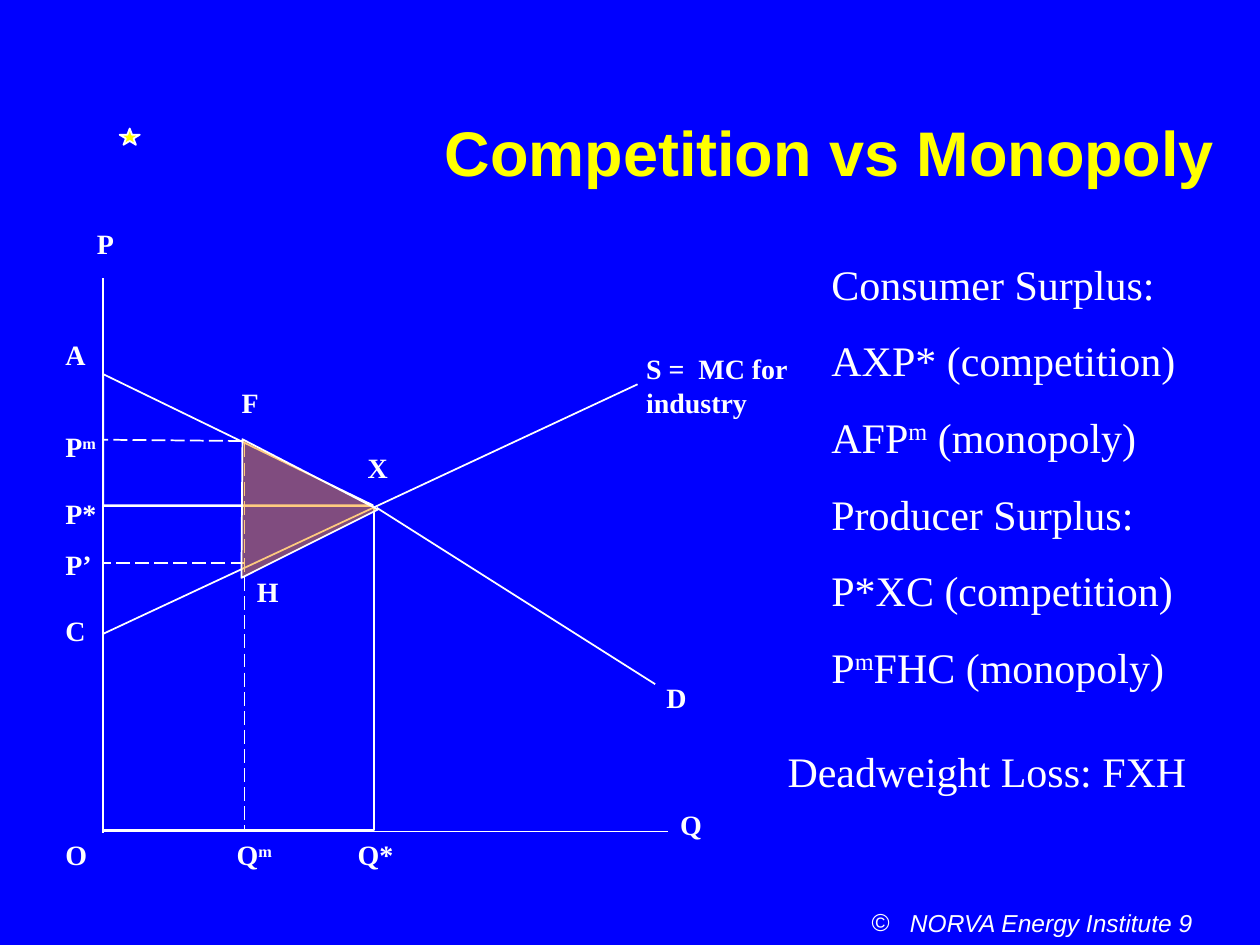
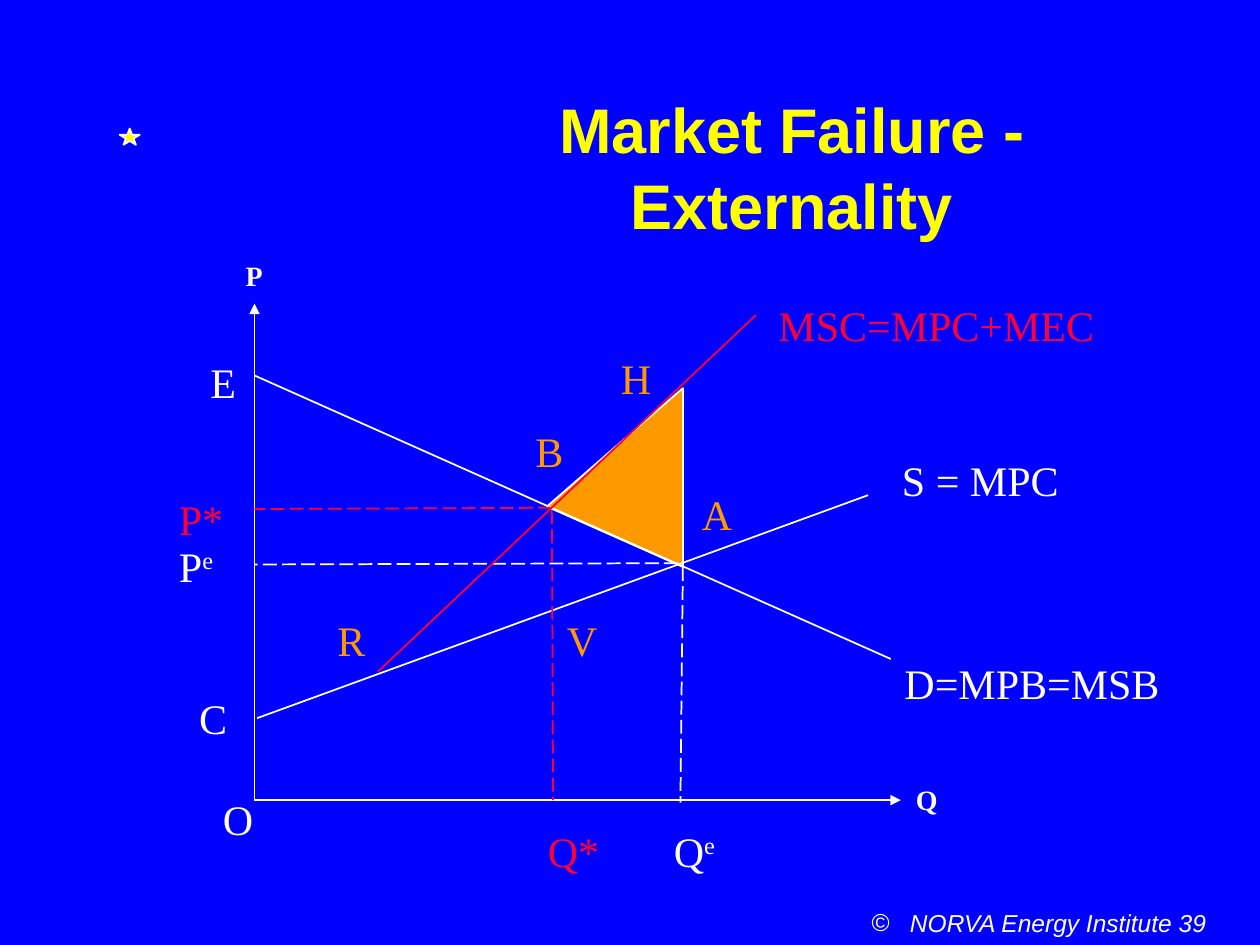
from lxml import etree
from pptx import Presentation
from pptx.dml.color import RGBColor
from pptx.enum.dml import MSO_LINE
from pptx.enum.shapes import MSO_CONNECTOR, MSO_SHAPE
from pptx.enum.text import MSO_ANCHOR, MSO_AUTO_SIZE, PP_ALIGN
from pptx.oxml.ns import qn
from pptx.util import Inches, Pt

BLUE = RGBColor(0x00, 0x00, 0xFF)
WHITE = RGBColor(0xFF, 0xFF, 0xFF)
YELLOW = RGBColor(0xFF, 0xFF, 0x00)
ORANGE = RGBColor(0xFF, 0x99, 0x00)
RED = RGBColor(0xFF, 0x00, 0x33)

SERIF, SANS = "Times New Roman", "Arial"
PADDED = (0.1, 0.05, 0.1, 0.05)   # left, top, right, bottom
FLUSH_LEFT = (0, 0.05, 0.1, 0.05)
NO_INSET = (0, 0, 0, 0)
SMALL = {"size": 16, "bold": True}
DASHED = {"dashed": True}
RED_DASHED = {"dashed": True, "colour": RED}
ARROW = {"arrow": True}
ORANGE_FLUSH = {"colour": ORANGE, "inset": FLUSH_LEFT}
BARE = {"inset": NO_INSET}

# Areas: shape, box (left, top, width, height), format
# Lines: start, end, format
# Labels: text (^superscript^), left, top, width, format
MONOPOLY = {
    "title": ["Competition vs Monopoly"],
    "title_box": (3.43, 0.85, 6.45, 0.7),
    "title_align": PP_ALIGN.LEFT,
    "number": 9,
    "areas": [
        (MSO_SHAPE.RIGHT_TRIANGLE, (0.82, 2.97, 2.14, 1.04), {"fill": BLUE}),
        (MSO_SHAPE.RECTANGLE, (0.82, 4.02, 2.15, 2.57), {"fill": BLUE}),
    ],
    "lines": [
        ((0.82, 2.21), (0.82, 6.61), {}),       # price axis
        ((0.81, 6.6), (5.3, 6.6), {}),          # quantity axis
        ((0.82, 5.03), (5.06, 3.05), {}),       # supply
        ((2.99, 4.03), (5.2, 5.43), {}),        # demand beyond X
        ((1.92, 3.5), (0.81, 3.49), DASHED),
        ((1.94, 4.47), (0.82, 4.47), DASHED),
        ((1.94, 3.52), (1.94, 6.6), DASHED),
    ],
    "labels": [
        ("P", 0.67, 1.75, 0.53, SMALL),
        ("A", 0.42, 2.63, 0.4, SMALL),
        ("P^m^", 0.42, 3.36, 0.64, SMALL),
        ("P*", 0.42, 3.89, 0.88, SMALL),
        ("P’", 0.42, 4.3, 0.56, SMALL),
        ("C", 0.42, 4.82, 0.4, SMALL),
        ("O", 0.42, 6.6, 0.56, SMALL),
        ("Q^m^", 1.78, 6.6, 1.04, SMALL),
        ("Q*", 2.74, 6.6, 0.64, SMALL),
        ("Q", 5.3, 6.36, 0.62, SMALL),
        ("F", 1.82, 3.01, 0.64, SMALL),
        ("X", 2.82, 3.53, 0.4, SMALL),
        ("H", 1.94, 4.51, 0.48, SMALL),
        ("D", 5.19, 5.35, 0.64, SMALL),
        ("S =  MC for industry", 5.03, 2.74, 1.44, {**SMALL, "rows": 2}),
        ("Deadweight Loss: FXH", 6.25, 5.92, 3.25, BARE),
    ],
    "overlay": [
        (MSO_SHAPE.ISOSCELES_TRIANGLE, (1.91, 3.5, 1.1, 1.08),
         {"fill": ORANGE, "rotation": 90.4, "alpha": 50}),
    ],
}
SURPLUS = ["Consumer Surplus:", "AXP* (competition)", "AFP^m^ (monopoly)",
           "Producer Surplus:", "P*XC (competition)", "P^m^FHC (monopoly)"]

EXTERNALITY = {
    "title": ["Market Failure -", "Externality"],
    "title_box": (3.42, 0.67, 5.73, 1.3),
    "title_align": PP_ALIGN.CENTER,
    "number": 39,
    "areas": [
        (MSO_SHAPE.ISOSCELES_TRIANGLE, (4.17, 3.25, 1.42, 1.08),
         {"fill": ORANGE, "rotation": 270, "apex": 0.338}),
    ],
    "lines": [
        ((2.02, 6.36), (2.02, 2.41), ARROW),    # price axis
        ((2.02, 6.35), (7.15, 6.35), ARROW),    # quantity axis
        ((2.04, 5.7), (6.89, 3.93), {}),        # supply
        ((2.02, 2.98), (7.07, 5.23), {}),       # demand
        ((5.38, 4.47), (2.02, 4.48), DASHED),
        ((5.42, 4.5), (5.4, 6.37), DASHED),
        ((4.38, 4.03), (2.02, 4.04), RED_DASHED),
        ((4.38, 4.05), (4.39, 6.35), RED_DASHED),
        ((3, 5.33), (6, 2.5), {"colour": RED}),  # social cost
    ],
    "labels": [
        ("P", 1.85, 2, 0.61, SMALL),
        ("Q", 7.17, 6.16, 0.71, SMALL),
        ("E", 1.67, 2.83, 0.25, BARE),
        ("P*", 1.42, 3.92, 0.43, {"colour": RED, "inset": NO_INSET}),
        ("P^e^", 1.42, 4.29, 0.42, BARE),
        ("C", 1.58, 5.5, 0.25, BARE),
        ("O", 1.67, 6.25, 0.5, {}),
        ("Q*", 4.25, 6.5, 0.73, {"colour": RED}),
        ("Q^e^", 5.25, 6.5, 0.73, {}),
        ("MSC=MPC+MEC", 6.08, 2.33, 2.75, {"colour": RED}),
        ("S = MPC", 7.06, 3.56, 1.65, {}),
        ("D=MPB=MSB", 7.08, 5.17, 2.33, {}),
        ("A", 5.57, 3.83, 0.35, ORANGE_FLUSH),
        ("B", 4.25, 3.33, 0.33, ORANGE_FLUSH),
        ("V", 4.5, 4.83, 0.33, ORANGE_FLUSH),
        ("H", 4.83, 2.75, 0.42, {"colour": ORANGE}),
        ("R", 2.58, 4.83, 0.42, {"colour": ORANGE}),
    ],
    "overlay": [],
}


def write_text(shape, paragraphs, size=24, font=SERIF, colour=WHITE, bold=False,
               italic=False, align=PP_ALIGN.LEFT, before=0, inset=PADDED):
    """Fill a shape with formatted paragraphs; ^marks^ enclose superscripts."""
    frame = shape.text_frame
    frame.word_wrap = True
    frame.auto_size = MSO_AUTO_SIZE.NONE
    frame.vertical_anchor = MSO_ANCHOR.TOP
    (frame.margin_left, frame.margin_top,
     frame.margin_right, frame.margin_bottom) = map(Inches, inset)
    for index, text in enumerate(paragraphs):
        paragraph = frame.add_paragraph() if index else frame.paragraphs[0]
        paragraph.alignment = align
        paragraph.space_before = Pt(before)
        for position, part in enumerate(text.split("^")):
            if not part:
                continue
            run = paragraph.add_run()
            run.text = part
            run.font.size, run.font.name = Pt(size), font
            run.font.bold, run.font.italic = bold, italic
            run.font.color.rgb = colour
            if position % 2:
                run.font._element.set("baseline", "30000")


def add_text(slide, paragraphs, box, **text_format):
    """Add a text box and return it."""
    shape = slide.shapes.add_textbox(*map(Inches, box))
    write_text(shape, paragraphs, **text_format)
    return shape


def add_label(slide, text, left, top, width, rows=1, size=24, inset=PADDED,
              **text_format):
    """Add a label whose height follows from its type size and insets."""
    height = rows * size / 60 + inset[1] + inset[3]
    add_text(slide, [text], (left, top, width, height), size=size, inset=inset,
             **text_format)


def add_area(slide, kind, box, fill, rotation=0, apex=None, alpha=None):
    """Add a white-outlined preset shape."""
    shape = slide.shapes.add_shape(kind, *map(Inches, box))
    shape.shadow.inherit = False
    shape.fill.solid()
    shape.fill.fore_color.rgb = fill
    shape.line.color.rgb = WHITE
    shape.line.width = Pt(1)
    shape.rotation = rotation
    if apex is not None:
        shape.adjustments[0] = apex
    if alpha is not None:
        colour = shape._element.spPr.find(qn("a:solidFill"))[0]
        etree.SubElement(colour, qn("a:alpha"), val=str(alpha * 1000))


def add_line(slide, start, end, colour=WHITE, dashed=False, arrow=False):
    """Add a straight line, optionally dashed or with an arrow at its end."""
    connector = slide.shapes.add_connector(
        MSO_CONNECTOR.STRAIGHT, *map(Inches, start + end))
    connector.line.color.rgb = colour
    connector.line.width = Pt(1)
    if dashed:
        connector.line.dash_style = MSO_LINE.LONG_DASH
    properties = connector._element.spPr
    if arrow:
        etree.SubElement(properties.find(qn("a:ln")), qn("a:tailEnd"), type="triangle")
    etree.SubElement(properties, qn("a:effectLst"))


def add_footer(slide, number):
    """Add the footer, with a copyright sign as its bullet."""
    footer = add_text(slide, [f" NORVA Energy Institute {number}"],
                      (6.57, 7.16, 3.43, 0.33), size=14, font=SANS, italic=True)
    properties = footer.text_frame.paragraphs[0]._p.get_or_add_pPr()
    properties.set("marL", str(Inches(0.5)))
    properties.set("indent", str(-Inches(0.25)))
    bullet_colour = etree.SubElement(properties, qn("a:buClr"))
    etree.SubElement(bullet_colour, qn("a:srgbClr"), val=str(WHITE))
    etree.SubElement(properties, qn("a:buFont"), typeface=SANS)
    etree.SubElement(properties, qn("a:buChar"), char="©")


def add_diagram_slide(presentation, content):
    """Add a slide with title, star, footer and an economic diagram."""
    slide = presentation.slides.add_slide(presentation.slide_layouts[5])
    title = slide.shapes.title
    title.left, title.top, title.width, title.height = map(
        Inches, content["title_box"])
    write_text(title, content["title"], size=36, font=SANS, colour=YELLOW,
               bold=True, align=content["title_align"])
    add_footer(slide, content["number"])
    add_area(slide, MSO_SHAPE.STAR_5_POINT, (0.95, 1.02, 0.16, 0.13), YELLOW)
    for kind, box, area_format in content["areas"]:
        add_area(slide, kind, box, **area_format)
    for start, end, line_format in content["lines"]:
        add_line(slide, start, end, **line_format)
    for text, left, top, width, label_format in content["labels"]:
        add_label(slide, text, left, top, width, **label_format)
    for kind, box, area_format in content["overlay"]:
        add_area(slide, kind, box, **area_format)
    return slide


presentation = Presentation()
presentation.slide_width, presentation.slide_height = Inches(10), Inches(7.5)
background = presentation.slide_master.background.fill
background.solid()
background.fore_color.rgb = BLUE

monopoly_slide = add_diagram_slide(presentation, MONOPOLY)
add_text(monopoly_slide, SURPLUS, (6.5, 2, 3.08, 3.54), before=15)
add_diagram_slide(presentation, EXTERNALITY)
presentation.save("out.pptx")
